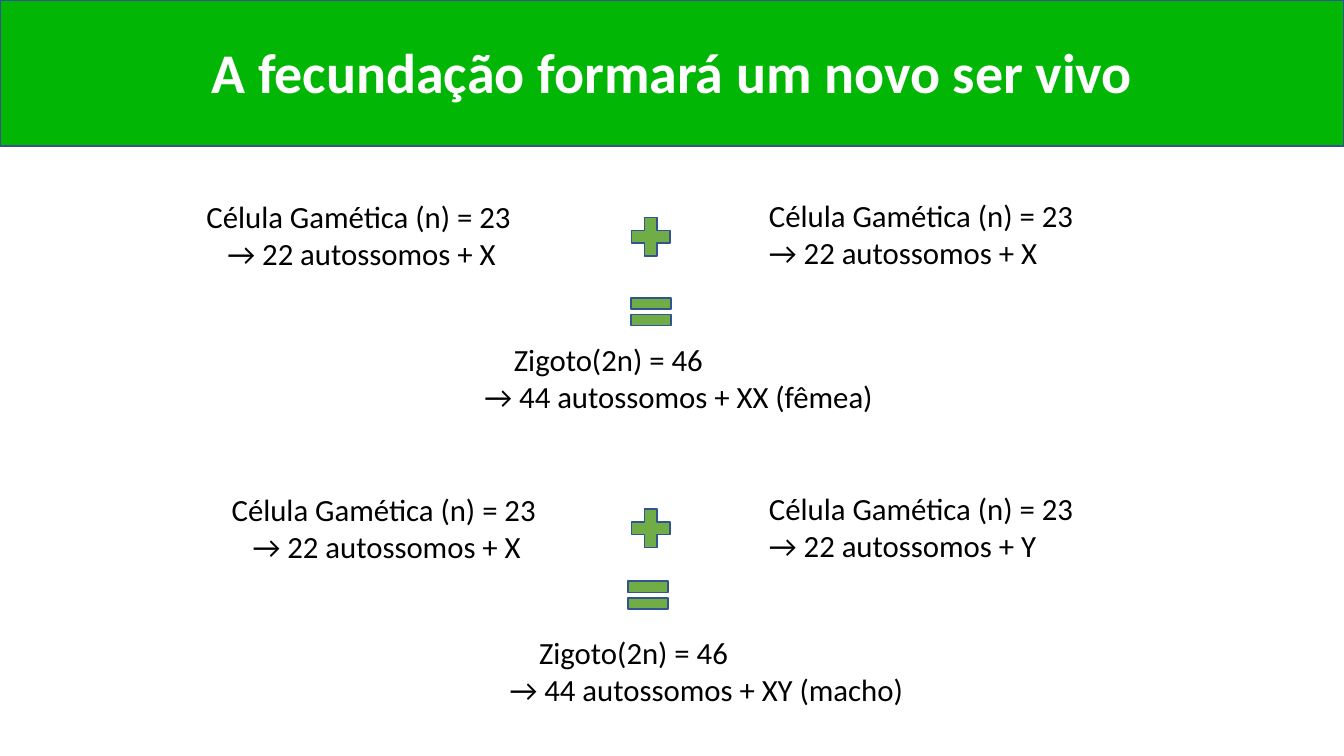
from pptx import Presentation
from pptx.dml.color import RGBColor as RGB
from pptx.enum.shapes import MSO_SHAPE as Shape
from pptx.enum.text import MSO_ANCHOR as Anchor, MSO_AUTO_SIZE as Fit, PP_ALIGN as Align
from pptx.util import Pt

GREEN = RGB(0x02, 0xB6, 0x06)
LEAF = RGB(0x70, 0xAD, 0x47)
BLUE = RGB(0x32, 0x54, 0x91)
WHITE = RGB(0xFF, 0xFF, 0xFF)
BLACK = RGB(0, 0, 0)

WIDE, HIGH = 960, 540
STEP = 15
TAB = 36
GAMETE = "Célula Gamética (n) = 23"
ZYGOTE = "Zigoto(2n) = 46"


class Board:
    font = "Calibri"

    def __init__(self, slide):
        self.slide = slide

    def label(self, para, text, size, color, bold=False):
        run = para.add_run()
        run.text = text
        run.font.name = self.font
        run.font.size = Pt(size)
        run.font.bold = bold
        run.font.color.rgb = color

    def shape(self, kind, left, top, width, height, fill):
        item = self.slide.shapes.add_shape(kind, Pt(left), Pt(top), Pt(width), Pt(height))
        item.shadow.inherit = False
        item.fill.solid()
        item.fill.fore_color.rgb = fill
        item.line.color.rgb = BLUE
        item.line.width = Pt(1)

    def title(self, text, left, top, width, height):
        head = self.slide.shapes.title
        head.left, head.top = Pt(left), Pt(top)
        head.width, head.height = Pt(width), Pt(height)
        self.slide.shapes._spTree.append(head._element)
        frame = head.text_frame
        frame.word_wrap = True
        frame.auto_size = Fit.NONE
        frame.vertical_anchor = Anchor.MIDDLE
        para = frame.paragraphs[0]
        para.alignment = Align.CENTER
        para.line_spacing = 0.9
        self.label(para, text, 40, WHITE, True)

    def text(self, left, top, width, lines):
        box = self.slide.shapes.add_textbox(Pt(left), Pt(top), Pt(width), Pt(60.5))
        frame = box.text_frame
        frame.word_wrap = True
        frame.auto_size = Fit.SHAPE_TO_FIT_TEXT
        for i, (line, inset) in enumerate(lines):
            para = frame.add_paragraph() if i else frame.paragraphs[0]
            props = para._p.get_or_add_pPr()
            props.set("marL", str(Pt(inset)))
            props.set("indent", "0")
            self.label(para, line, 22, BLACK)

    def cross(self, left, top, shift, ovum, sperm, child, plus, equal, zygote):
        self.text(left, top, 368, [(GAMETE, 0), (f"→ 22 autossomos + {ovum}", STEP)])
        self.text(542.2, top - 0.7, 352, [(GAMETE, 0), (f"→ 22 autossomos + {sperm}", 0)])
        self.shape(Shape.MATH_PLUS, 446.4, plus, 37, 37.4, LEAF)
        self.shape(Shape.MATH_EQUAL, 445.7 - shift, equal, 38.9, 33.8, LEAF)
        self.text(left + 183.6, zygote, 368, [(ZYGOTE, TAB), (f"→ 44 autossomos + {child}", STEP)])


def main():
    deck = Presentation()
    deck.slide_width, deck.slide_height = Pt(WIDE), Pt(HIGH)
    board = Board(deck.slides.add_slide(deck.slide_layouts[5]))
    board.shape(Shape.RECTANGLE, 0, 0, WIDE, 104.4, GREEN)
    board.title("A fecundação formará um novo ser vivo", 120, 1.4, 720, 104.4)
    board.cross(140.4, 137.5, 0, "X", "X", "XX (fêmea)", 150.5, 205.9, 239.8)
    board.cross(158.4, 347, 2.2, "X", "Y", "XY (macho)", 358.6, 408.2, 449.3)
    deck.save("out.pptx")


if __name__ == "__main__":
    main()
